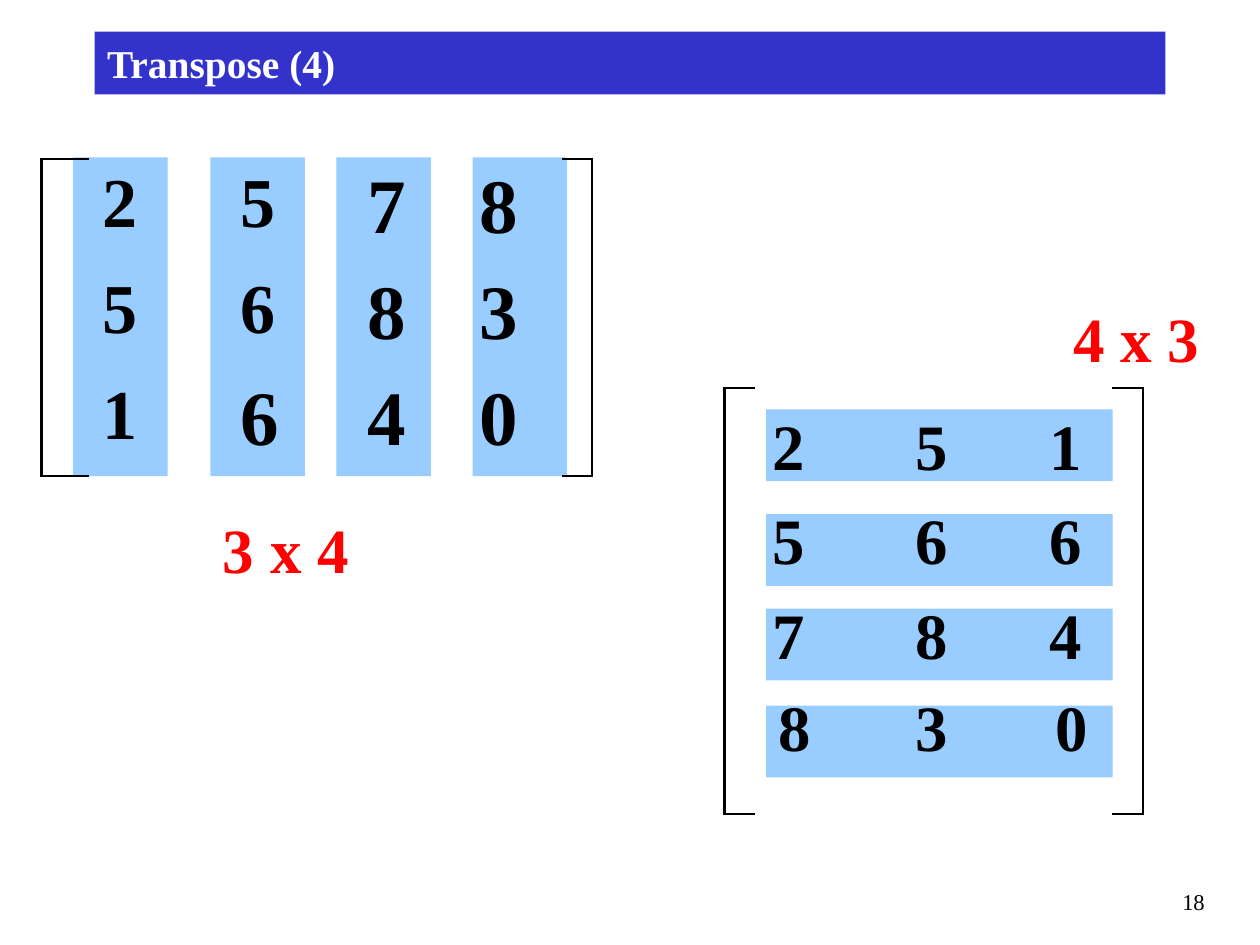
from lxml.etree import SubElement
from pptx import Presentation
from pptx.dml.color import RGBColor
from pptx.enum.shapes import MSO_SHAPE
from pptx.enum.text import MSO_ANCHOR, MSO_AUTO_SIZE, PP_ALIGN
from pptx.oxml.ns import qn
from pptx.util import Inches, Pt


def paint(fill, color):
    fill.solid()
    fill.fore_color.rgb = RGBColor.from_string(color)


def write(frame, text, size=37, color="000000", bold=True, align=PP_ALIGN.LEFT):
    frame.word_wrap = True
    frame.auto_size = MSO_AUTO_SIZE.NONE
    para = frame.paragraphs[0]
    para.alignment = align
    span = para.add_run()
    span.text = text
    span.font.name = "Times New Roman"
    span.font.size = Pt(size)
    span.font.bold = bold
    paint(span.font.fill, color)


deck = Presentation()
deck.slide_width, deck.slide_height = Inches(10), Inches(7.5)
page = deck.slides.add_slide(deck.slide_layouts[5])

# Title bar
title = page.shapes.title
title.left, title.top = Inches(0.75), Inches(0.25)
title.width, title.height = Inches(8.5), Inches(0.5)
paint(title.fill, "3333CC")
title.text_frame.vertical_anchor = MSO_ANCHOR.MIDDLE
write(title.text_frame, "Transpose (4)", size=22.5, color="FFFFFF")

# Bars behind the columns of the first matrix
for left in (0.58, 1.67, 2.67, 3.75):
    bar = page.shapes.add_shape(MSO_SHAPE.RECTANGLE, Inches(left), Inches(1.25),
                                Inches(0.75), Inches(2.53))
    bar.shadow.inherit = False
    bar.line.fill.background()
    paint(bar.fill, "99CCFF")

# Rows of the transposed matrix: bar top, text top, digits, digit lefts
usual_lefts = (6.03, 7.17, 8.23)
transposed_rows = [
    (3.25, 3.17, "251", usual_lefts),
    (4.08, 3.92, "566", usual_lefts),
    (4.83, 4.67, "784", usual_lefts),
    (5.6, 5.4, "830", (6.08, 7.17, 8.28)),
]
for bar_top, text_top, digits, lefts in transposed_rows:
    row = page.shapes.add_group_shape()
    bar = row.shapes.add_shape(MSO_SHAPE.RECTANGLE, Inches(6.08), Inches(bar_top),
                               Inches(2.75), Inches(0.57))
    bar.shadow.inherit = False
    bar.line.fill.background()
    paint(bar.fill, "99CCFF")
    for digit, left in zip(digits, lefts):
        box = row.shapes.add_textbox(Inches(left), Inches(text_top),
                                     Inches(0.92), Inches(0.77))
        write(box.text_frame, digit)

# Bracketed tables: left, top, column widths, row heights, digits from column 1
matrices = [
    (0.33, 1.26, (0.38, 1.1, 1.01, 0.74, 0.66, 0.24, 0.24), (0.84,) * 3,
     ("2578", "5683", "1640")),
    (5.75, 3.08, (0.24, 1.02, 0.93, 0.65, 0.24, 0.24), (0.86, 0.84, 0.84, 0.84),
     ("",) * 4),
]
for left, top, widths, heights, digit_rows in matrices:
    last_row, last_col = len(heights) - 1, len(widths) - 1
    table = page.shapes.add_table(len(heights), len(widths), Inches(left), Inches(top),
                                  Inches(sum(widths)), Inches(sum(heights))).table
    table.first_row = table.horz_banding = False
    for column, width in zip(table.columns, widths):
        column.width = Inches(width)
    for r, height in enumerate(heights):
        table.rows[r].height = Inches(height)
        for c in range(len(widths)):
            cell = table.cell(r, c)
            # Outer columns carry the bracket lines, all other sides are bare
            outer = c in (0, last_col)
            sides = {"a:lnL": c == 0, "a:lnR": c == last_col,
                     "a:lnT": outer and r == 0, "a:lnB": outer and r == last_row}
            properties = cell._tc.get_or_add_tcPr()
            for side, drawn in sides.items():
                line = SubElement(properties, qn(side), w=str(Pt(1.47)))
                if drawn:
                    solid = SubElement(line, qn("a:solidFill"))
                    SubElement(solid, qn("a:srgbClr"), val="000000")
                else:
                    SubElement(line, qn("a:noFill"))
            cell.fill.background()
            if 1 <= c <= len(digit_rows[r]):
                small = c == 1 or (c == 2 and r < last_row)
                write(cell.text_frame, digit_rows[r][c - 1], size=40 if small else 44)
                if c == 4:
                    cell.margin_left = Inches(0.25)

# Dimension labels
for left, top, label in ((1.67, 4, "3 x 4"), (8.42, 2.33, "4 x 3")):
    box = page.shapes.add_textbox(Inches(left), Inches(top), Inches(1.33), Inches(0.7))
    write(box.text_frame, label, size=36, color="FF0000")

# Page number
number = page.shapes.add_textbox(Inches(7.58), Inches(7), Inches(2.08), Inches(0.33))
write(number.text_frame, "18", size=12.9, bold=False, align=PP_ALIGN.RIGHT)

deck.save("out.pptx")
